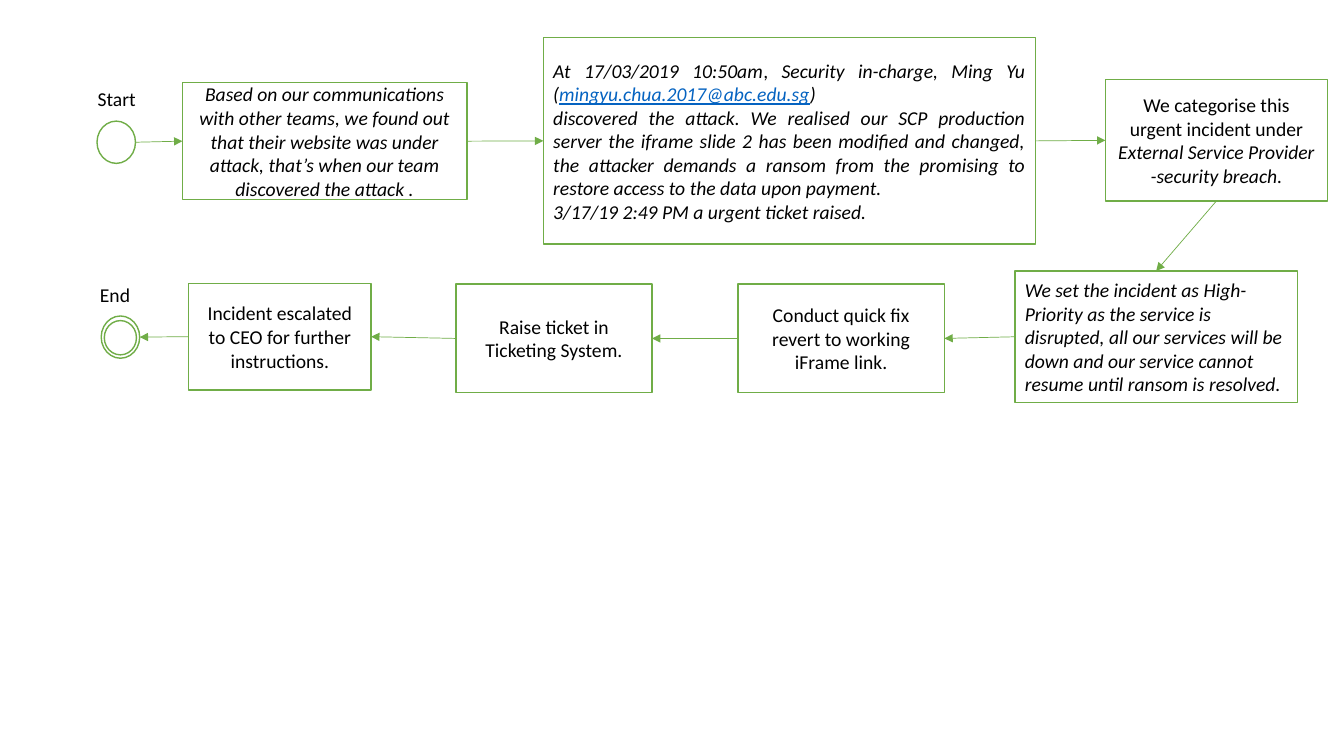
from lxml.etree import SubElement
from pptx import Presentation
from pptx.dml.color import RGBColor
from pptx.enum.shapes import MSO_CONNECTOR, MSO_SHAPE
from pptx.enum.text import MSO_ANCHOR, MSO_AUTO_SIZE, PP_ALIGN
from pptx.oxml.ns import qn
from pptx.util import Pt

GREEN, WHITE, BLACK, LINK = "70AD47", "FFFFFF", "000000", "0563C1"
TOP, LEFT, BOTTOM, RIGHT = range(4)


def rgb(value):
    """Return the colour for a hex string."""
    return RGBColor.from_string(value)


def add_run(p, text, size=14, font="Calibri", color=BLACK, italic=False, underline=False):
    """Append formatted text to a paragraph."""
    r = p.add_run()
    r.text = text
    r.font.size, r.font.name = Pt(size), font
    r.font.italic, r.font.underline = italic, underline
    r.font.color.rgb = rgb(color)


def fill_text(tf, paragraphs, align):
    """Write paragraphs, each a list of (text, format) runs."""
    tf.word_wrap = True
    for i, runs in enumerate(paragraphs):
        p = tf.paragraphs[0] if i == 0 else tf.add_paragraph()
        p.alignment = align
        for text, style in runs:
            add_run(p, text, **style)


def add_outline(s, kind, box):
    """Add a white shape with a green outline."""
    sp = s.shapes.add_shape(kind, *map(Pt, box))
    sp.shadow.inherit = False
    sp.fill.solid()
    sp.fill.fore_color.rgb = rgb(WHITE)
    sp.line.color.rgb = rgb(GREEN)
    sp.line.width = Pt(1)
    return sp


def add_step(s, box, paragraphs, align=PP_ALIGN.CENTER):
    """Add a process step with its text."""
    sp = add_outline(s, MSO_SHAPE.RECTANGLE, box)
    sp.text_frame.vertical_anchor = MSO_ANCHOR.MIDDLE
    fill_text(sp.text_frame, paragraphs, align)
    return sp


def add_label(s, left, top, text):
    """Add the caption of a start or end circle."""
    tf = s.shapes.add_textbox(Pt(left), Pt(top), Pt(72.7), Pt(24.5)).text_frame
    tf.auto_size = MSO_AUTO_SIZE.SHAPE_TO_FIT_TEXT
    fill_text(tf, [[(text, {})]], PP_ALIGN.LEFT)


def side_point(sp, side):
    """Return the midpoint of one side of a shape."""
    fx, fy = {TOP: (1, 0), LEFT: (0, 1), BOTTOM: (1, 2), RIGHT: (2, 1)}[side]
    return sp.left + sp.width * fx // 2, sp.top + sp.height * fy // 2


def add_arrow(s, source, source_side, target, target_side):
    """Join the sides of two shapes with an arrow, glued to rectangles."""
    line = s.shapes.add_connector(MSO_CONNECTOR.STRAIGHT, *side_point(source, source_side),
                                  *side_point(target, target_side))
    if source.auto_shape_type == MSO_SHAPE.RECTANGLE:
        line.begin_connect(source, source_side)
    if target.auto_shape_type == MSO_SHAPE.RECTANGLE:
        line.end_connect(target, target_side)
    line.line.color.rgb = rgb(GREEN)
    line.line.width = Pt(0.5)
    SubElement(line.line._get_or_add_ln(), qn("a:tailEnd"), type="triangle")
    SubElement(line._element.spPr, qn("a:effectLst"))


def main():
    """Build the incident flow and save it."""
    prs = Presentation()
    prs.slide_width, prs.slide_height = Pt(960), Pt(540)
    s = prs.slides.add_slide(prs.slide_layouts[6])
    italic = {"italic": True}

    start = add_outline(s, MSO_SHAPE.OVAL, (69.3, 86.5, 27.5, 30.2))
    discovery = add_step(s, (130.3, 59, 203.2, 83.7), [[
        ("Based on our communications with other teams, we found out that their website "
         "was under attack, that’s when our team discovered the attack .", italic)]])
    report = add_step(s, (388.1, 26.9, 351.4, 147.5), [
        [("At 17/03/2019 10:50am", italic), (", ", {}),
         ("Security in-charge, Ming Yu (", italic),
         ("mingyu.chua.2017@abc.edu.sg", {"italic": True, "color": LINK, "underline": True}),
         (")", italic)],
        [("discovered the attack. We realised our SCP production server the iframe slide 2 "
          "has been modified and changed, the attacker demands a ransom from the promising "
          "to restore access to the data upon payment. ", italic)],
        [("3/17/19 2:49 PM a urgent ticket raised.", italic)],
    ], PP_ALIGN.JUSTIFY)
    category = add_step(s, (789.6, 57, 158.7, 86.5), [[
        ("We categorise this urgent incident under ", {}),
        ("External Service Provider -security breach.", italic)]])
    priority = add_step(s, (725, 193.6, 201.7, 93.9), [[
        ("We set the incident as High-Priority as the service is disrupted, all our services "
         "will be down and our service cannot resume until ransom is resolved.", italic)]],
        PP_ALIGN.LEFT)
    quick_fix = add_step(s, (527.1, 203, 147.5, 77.5), [[
        ("Conduct quick fix revert to working iFrame link.", {})]])
    ticket = add_step(s, (325.7, 203, 140, 77.5), [[("Raise ticket in Ticketing System.", {})]])
    escalation = add_step(s, (134.8, 202.4, 130.3, 76.2), [[
        ("Incident escalated to CEO for further instructions.", {})]])
    end = add_outline(s, MSO_SHAPE.OVAL, (72.3, 225.7, 27.5, 30.2))
    add_outline(s, MSO_SHAPE.OVAL, (74.5, 229, 23, 24.5))

    for left, top, text in ((62.6, 58.5, "Start"), (64.3, 198.3, "End")):
        add_label(s, left, top, text)

    for row, out, into in (([start, discovery, report, category], RIGHT, LEFT),
                           ([category, priority], BOTTOM, TOP),
                           ([priority, quick_fix, ticket, escalation, end], LEFT, RIGHT)):
        for source, target in zip(row, row[1:]):
            add_arrow(s, source, out, target, into)

    prs.save("out.pptx")


main()
